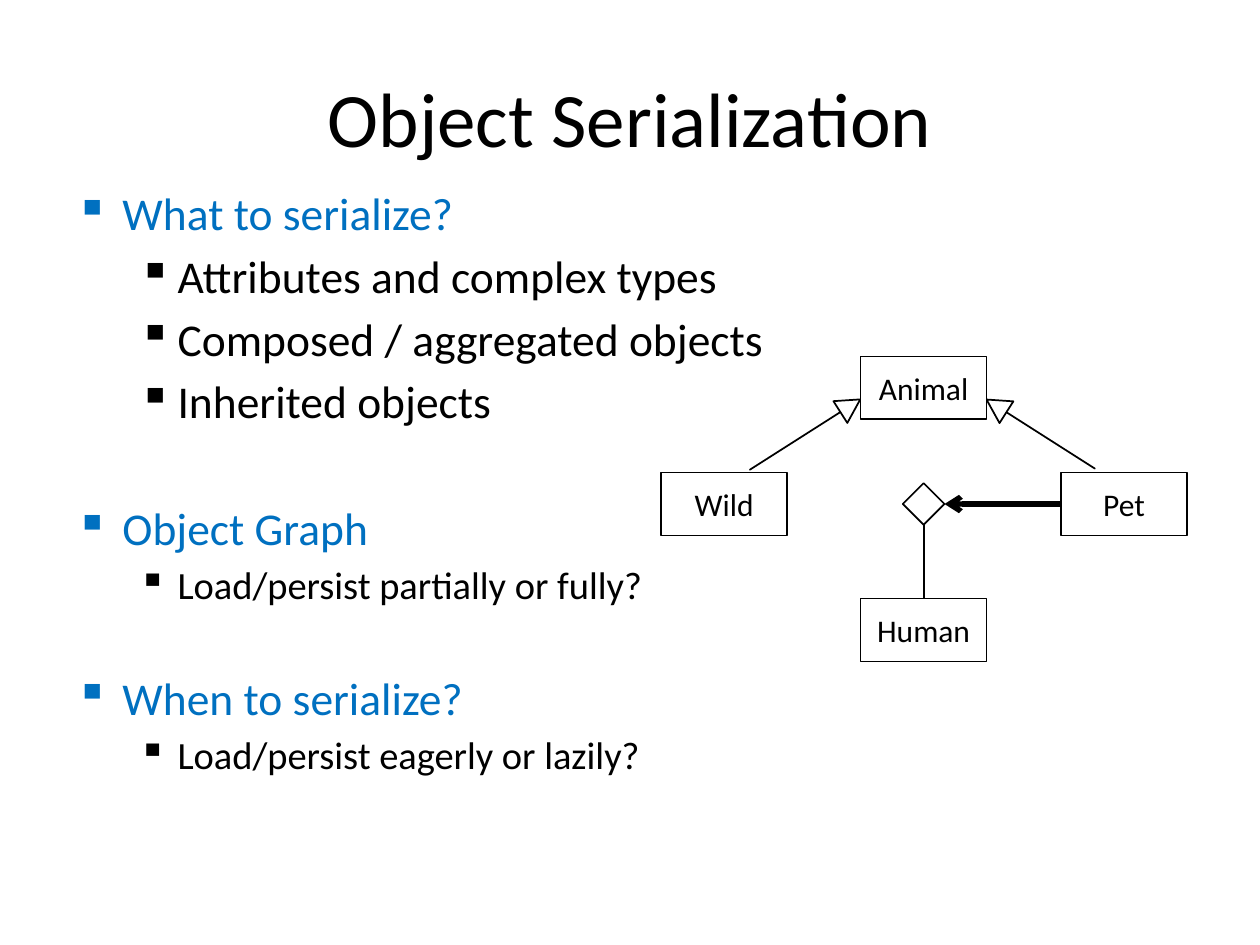
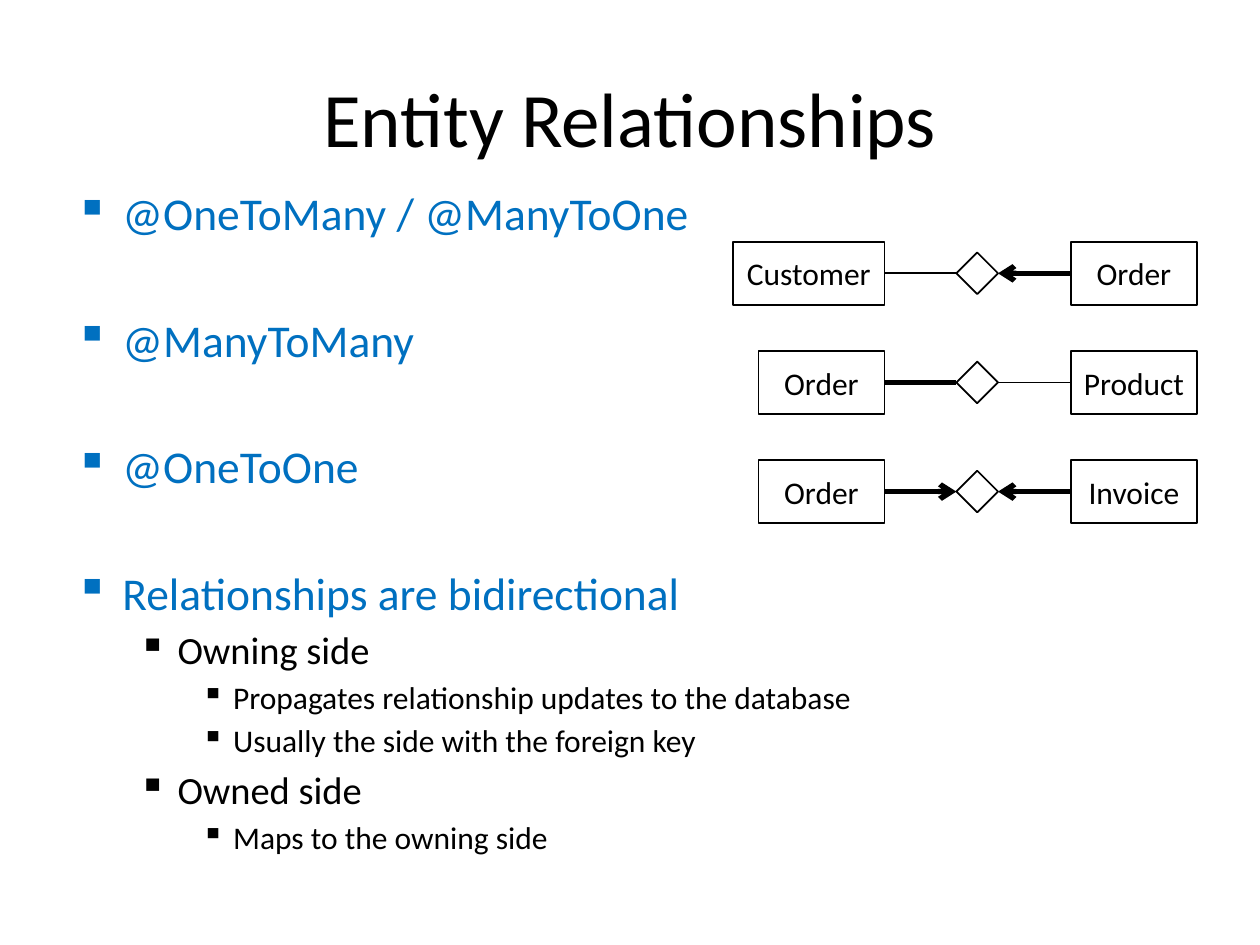
from lxml.etree import SubElement as Sub
from pptx import Presentation
from pptx.dml.color import RGBColor
from pptx.enum.shapes import MSO_CONNECTOR as Line, MSO_SHAPE as Kind
from pptx.enum.text import MSO_ANCHOR as Anchor, PP_ALIGN as Align
from pptx.oxml.ns import qn
from pptx.util import Cm, Pt

FONT = "Calibri"
BLACK, WHITE, BLUE = "000000", "FFFFFF", "0070C0"
TOP, LEFT, BOTTOM, RIGHT = range(4)
hue = RGBColor.from_string

# Left margin and hanging indent of each bullet level, in cm
INDENTS = [(0.95, 0.95), (2.06, 0.79), (3.18, 0.64)]

# Title, then bullets: level, size, size of the empty line above, text
PAGES = [
    ("Object Serialization", [
        (0, 26, 0, "What to serialize?"),
        (1, 26, 0, "Attributes and complex types"),
        (1, 26, 0, "Composed / aggregated objects"),
        (1, 26, 0, "Inherited objects"),
        (0, 26, 26, "Object Graph"),
        (1, 22, 0, "Load/persist partially or fully?"),
        (0, 26, 22, "When to serialize?"),
        (1, 22, 0, "Load/persist eagerly or lazily?"),
    ]),
    ("Entity Relationships", [
        (0, 26, 0, "@OneToMany / @ManyToOne"),
        (0, 26, 26, "@ManyToMany"),
        (0, 26, 26, "@OneToOne"),
        (0, 26, 26, "Relationships are bidirectional"),
        (1, 22, 0, "Owning side"),
        (2, 18, 0, "Propagates relationship updates to the database"),
        (2, 18, 0, "Usually the side with the foreign key"),
        (1, 22, 0, "Owned side"),
        (2, 18, 0, "Maps to the owning side"),
    ]),
]


def node(slide, kind, x, y, wide, high, text=""):
    """Add an outlined shape centred on x, y (cm)."""
    shape = slide.shapes.add_shape(
        kind, Cm(x - wide / 2), Cm(y - high / 2), Cm(wide), Cm(high))
    shape.shadow.inherit = False
    shape.fill.solid()
    shape.fill.fore_color.rgb = hue(WHITE)
    shape.line.color.rgb = hue(BLACK)
    shape.line.width = Pt(1)
    if text:
        frame = shape.text_frame
        frame.word_wrap = False
        frame.vertical_anchor = Anchor.MIDDLE
        para = frame.paragraphs[0]
        para.alignment = Align.CENTER
        run = para.add_run()
        run.text = text
        run.font.name, run.font.size = FONT, Pt(18)
        run.font.color.rgb = hue(BLACK)
    return shape


def link(slide, start, out, end, into, width=1, arrow=False):
    """Join side `out` of start to side `into` of end."""
    line = slide.shapes.add_connector(Line.STRAIGHT, 0, 0, 0, 0)
    line.begin_connect(start, out)
    line.end_connect(end, into)
    line.line.color.rgb = hue(BLACK)
    line.line.width = Pt(width)
    if arrow:
        Sub(line.line._get_or_add_ln(), qn("a:tailEnd"), type="arrow")
    Sub(line._element.spPr, qn("a:effectLst"))


deck = Presentation()
deck.slide_width, deck.slide_height = Cm(25.4), Cm(19.05)

# Titles and bullets
slides = []
for title, items in PAGES:
    slide = deck.slides.add_slide(deck.slide_layouts[6])
    slides.append(slide)

    head = slide.shapes.add_textbox(Cm(1.27), Cm(0.76), Cm(22.86), Cm(3.18))
    head.text_frame.word_wrap = True
    head.text_frame.vertical_anchor = Anchor.MIDDLE
    para = head.text_frame.paragraphs[0]
    para.alignment = Align.CENTER
    run = para.add_run()
    run.text = title
    run.font.name, run.font.size = FONT, Pt(44)
    run.font.color.rgb = hue(BLACK)

    body = slide.shapes.add_textbox(Cm(1.27), Cm(3.61), Cm(22.86), Cm(14.17))
    frame = body.text_frame
    frame.word_wrap = True
    for i, (level, size, gap, text) in enumerate(items):
        para = frame.add_paragraph() if i else frame.paragraphs[0]
        para.level = level
        para.alignment = Align.JUSTIFY
        para.space_before = Pt(0.18 * size + 1.4 * gap)
        margin, hang = INDENTS[level]
        props = para._p.get_or_add_pPr()
        props.set("marL", str(Cm(margin)))
        props.set("indent", str(-Cm(hang)))
        Sub(props, qn("a:buChar"), char="▪")
        run = para.add_run()
        run.text = text
        run.font.name, run.font.size = FONT, Pt(size)
        run.font.color.rgb = hue(BLACK if level else BLUE)

BOX = (2.54, 1.27)
GEM = (0.84, 0.84)

# Class diagram: inheritance arrows, then classes around a diamond
graph, pairs = slides
for x, y, wide, turn in [(20.98, 8.75, 2.59, 212.5), (16.23, 8.76, 2.64, 327.5)]:
    wing = node(graph, Kind.RIGHT_ARROW, x, y, wide, 0.52)
    wing.adjustments[0], wing.adjustments[1] = 0, 0.915
    wing.rotation = turn

mid, row = 18.62, 10.16
node(graph, Kind.RECTANGLE, mid, 7.82, *BOX, "Animal")
node(graph, Kind.RECTANGLE, 14.6, row, *BOX, "Wild")
human = node(graph, Kind.RECTANGLE, mid, 12.7, *BOX, "Human")
pet = node(graph, Kind.RECTANGLE, 22.66, row, *BOX, "Pet")
gem = node(graph, Kind.DIAMOND, mid, row, *GEM)
link(graph, pet, LEFT, gem, RIGHT, 3, True)
link(graph, gem, BOTTOM, human, TOP)

# Entity pairs: name, box width, line width and arrow for each side
ROWS = [
    (("Customer", 3.05, 1, False), ("Order", 2.54, 3, True)),
    (("Order", 2.54, 3, False), ("Product", 2.54, 1, False)),
    (("Order", 2.54, 3, True), ("Invoice", 2.54, 3, True)),
]
EDGE = 17.83  # shared right edge of the left boxes
for i, (one, two) in enumerate(ROWS):
    y = 5.51 + 2.2 * i
    gem = node(pairs, Kind.DIAMOND, 19.7, y, *GEM)
    for (name, wide, width, arrow), x, out, into in [
            (one, EDGE - one[1] / 2, RIGHT, LEFT), (two, 22.86, LEFT, RIGHT)]:
        box = node(pairs, Kind.RECTANGLE, x, y, wide, 1.27, name)
        link(pairs, box, out, gem, into, width, arrow)

deck.save("out.pptx")
